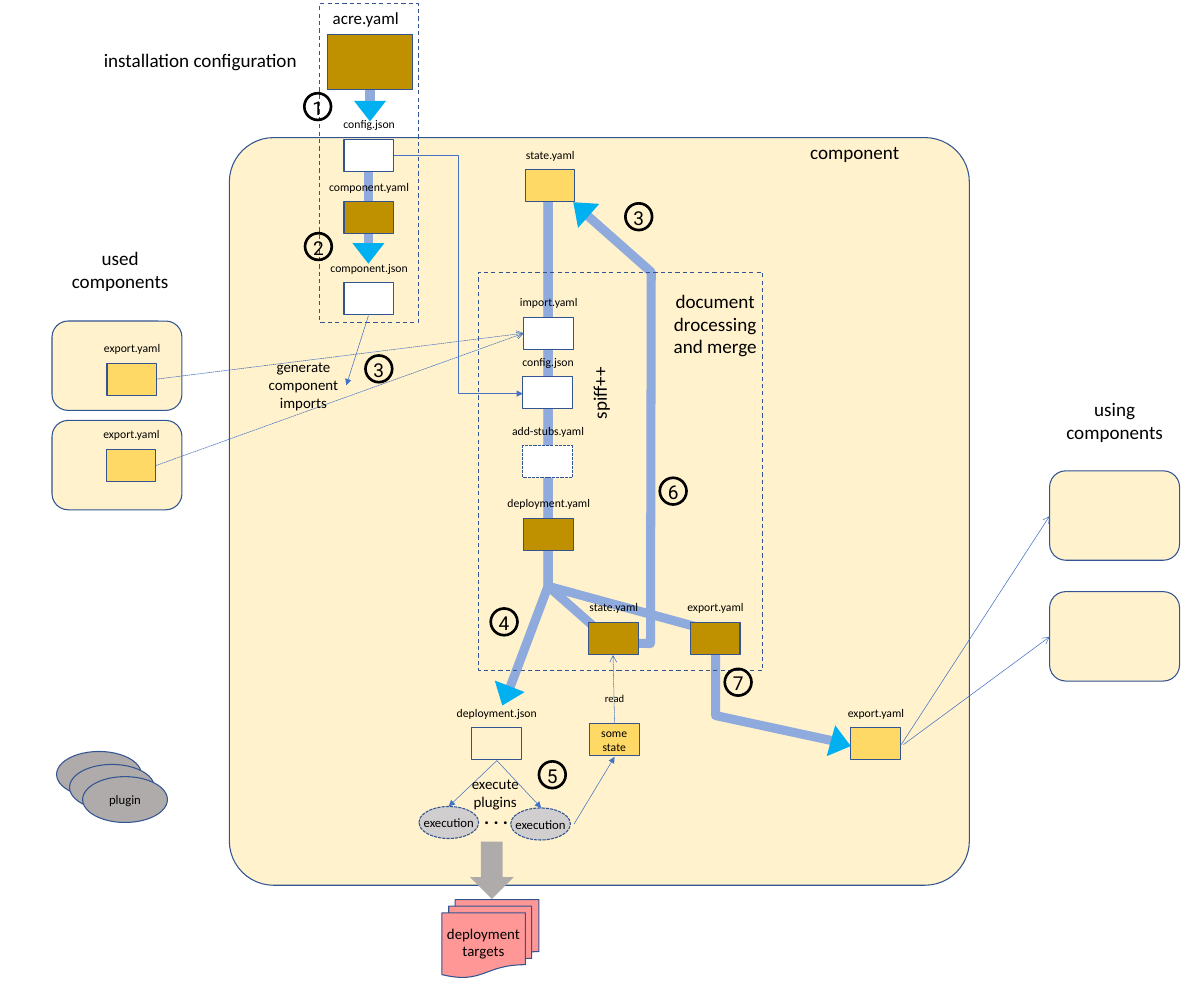
from lxml import etree
from pptx import Presentation
from pptx.dml.color import RGBColor
from pptx.enum.dml import MSO_LINE
from pptx.enum.shapes import MSO_CONNECTOR as LINK, MSO_SHAPE as SHAPE
from pptx.enum.text import MSO_ANCHOR, PP_ALIGN
from pptx.oxml.ns import qn
from pptx.util import Pt

CREAM, GOLD, YELLOW, WHITE = "FFF2CC", "BF9000", "FFD966", "FFFFFF"
GREY, LIGHT_GREY, PINK, CYAN = "AFABAB", "D0CECE", "FF9797", "00B0F0"
OUTLINE, FLOW, THIN, BLACK = "325491", "8FAADC", "4472C4", "000000"
DASH, DOT = MSO_LINE.DASH, MSO_LINE.SQUARE_DOT
FILE_W, FILE_H = 46.8, 30.2


def color(hex_string):
    return RGBColor.from_string(hex_string)


class Diagram:
    font = "Calibri"

    def __init__(self, slide):
        self.shapes = slide.shapes

    def paint(self, shape, fill=None, line=OUTLINE, weight=1, dash=None):
        shape.shadow.inherit = False
        if fill:
            shape.fill.solid()
            shape.fill.fore_color.rgb = color(fill)
        else:
            shape.fill.background()
        if line:
            shape.line.color.rgb = color(line)
            shape.line.width = Pt(weight)
            if dash:
                shape.line.dash_style = dash
        else:
            shape.line.fill.background()

    def caption(self, shape, text, size, font=None, bold=False):
        frame = shape.text_frame
        frame.word_wrap = False
        frame.vertical_anchor = MSO_ANCHOR.MIDDLE
        frame.text = text
        for paragraph in frame.paragraphs:
            paragraph.alignment = PP_ALIGN.CENTER
            paragraph.font.name = font or self.font
            paragraph.font.size = Pt(size)
            paragraph.font.bold = bold
            paragraph.font.color.rgb = color(BLACK)

    def block(self, kind, x, y, w, h, fill=None, adjust=(), turn=0, **outline):
        shape = self.shapes.add_shape(kind, Pt(x), Pt(y), Pt(w), Pt(h))
        for index, value in enumerate(adjust):
            shape.adjustments[index] = value
        shape.rotation = turn
        self.paint(shape, fill, **outline)
        return shape

    def note(self, text, x, y, w, size=18, turn=0, bold=False):
        height = 1.2 * size * (text.count("\n") + 1) + 7.2
        box = self.shapes.add_textbox(Pt(x), Pt(y), Pt(w), Pt(height))
        box.rotation = turn
        self.caption(box, text, size, bold=bold)

    def file_box(self, name, x, y, fill=None, dash=None):
        self.block(SHAPE.RECTANGLE, x, y, FILE_W, FILE_H, fill, dash=dash)
        label = self.shapes.add_textbox(Pt(x - 27.4), Pt(y - 25.2), Pt(102.2), Pt(25.2))
        self.caption(label, name, 11)
        label.text_frame.margin_top = 0

    def step(self, number, x, y):
        circle = self.block(SHAPE.OVAL, x, y, 25.2, 25.2, line=BLACK, weight=2.5)
        self.caption(circle, number, 18, font="Roboto")
        frame = circle.text_frame
        frame.margin_left = frame.margin_right = frame.margin_bottom = 0
        frame.margin_top = Pt(2)

    def flow(self, *points):
        start, *rest = [(Pt(x), Pt(y)) for x, y in points]
        builder = self.shapes.build_freeform(*start)
        builder.add_line_segments(rest, close=False)
        self.paint(builder.convert_to_shape(), line=FLOW, weight=8.5)

    def tip(self, x, y, turn=0):
        self.block(SHAPE.DOWN_ARROW, x, y, 30.2, 19.4, CYAN, (0, 1), turn, line=None)

    def link(self, start, end, head=None, dash=None, kind=LINK.STRAIGHT,
             line=THIN, weight=0.5):
        connector = self.shapes.add_connector(kind, *map(Pt, start + end))
        connector.line.color.rgb = color(line)
        connector.line.width = Pt(weight)
        if dash:
            connector.line.dash_style = dash
        properties = connector._element.spPr
        if head:
            etree.SubElement(properties.find(qn("a:ln")), qn("a:tailEnd"), type=head)
        etree.SubElement(properties, qn("a:effectLst"))


def main():
    deck = Presentation()
    deck.slide_width, deck.slide_height = Pt(1134), Pt(935.28)
    diagram = Diagram(deck.slides.add_slide(deck.slide_layouts[6]))

    # Components
    for x, y in ((49, 396), (49, 302.4), (988.6, 443.5), (988.6, 557.3)):
        diagram.block(SHAPE.ROUNDED_RECTANGLE, x, y, 122.4, 84.2, CREAM, (0.18,))
    diagram.block(SHAPE.ROUNDED_RECTANGLE, 216, 129.6, 697, 704.2, CREAM, (0.06,))

    # Processing flows
    top, fork = (516.2, 174.2), (516.2, 552.2)
    diagram.flow(top, fork, (674, 595.4), (674, 674), (790.5, 699.1))
    diagram.flow(top, fork, (576.7, 605.5), (612.7, 606.2), (613.4, 256.3), (550, 200.2))
    diagram.flow(top, fork, (478, 653.8))
    for x, start, end in ((348.5, 84.2, 95), (347, 161.3, 229)):
        diagram.link((x, start), (x, end), line=FLOW, weight=8.5)

    # Groups
    diagram.block(SHAPE.RECTANGLE, 450.7, 256.3, 267.8, 375.1, dash=DASH)
    diagram.block(SHAPE.RECTANGLE, 301, 3.6, 92.9, 300.2, dash=DASH)

    # Files
    diagram.block(SHAPE.RECTANGLE, 308.9, 32.4, 79.9, 51.8, GOLD)
    for name, x, y, fill in (
        ("config.json", 324, 131, WHITE),
        ("component.yaml", 324, 190.1, GOLD),
        ("component.json", 324, 266.4, WHITE),
        ("export.yaml", 100.8, 342, YELLOW),
        ("export.yaml", 100.1, 423.4, YELLOW),
        ("state.yaml", 494.6, 159.8, YELLOW),
        ("import.yaml", 493.2, 298.8, WHITE),
        ("config.json", 492.5, 355, WHITE),
        ("deployment.yaml", 493.2, 488.2, GOLD),
        ("state.yaml", 554.4, 586.1, GOLD),
        ("export.yaml", 650.2, 586.1, GOLD),
        ("deployment.json", 444.2, 685.4, None),
        ("export.yaml", 801.4, 685.4, YELLOW),
    ):
        diagram.file_box(name, x, y, fill)
    diagram.file_box("add-stubs.yaml", 492.5, 419.8, WHITE, dash=DOT)
    some_state = diagram.block(SHAPE.RECTANGLE, 555.1, 681.8, FILE_W, FILE_H, YELLOW)
    diagram.caption(some_state, "some\nstate", 11)

    # Plugins and executions
    for x, y in ((53.3, 707.8), (65.5, 720), (77.8, 731.5)):
        plugin = diagram.block(SHAPE.OVAL, x, y, 79.9, 43.2, GREY)
    diagram.caption(plugin, "plugin", 12)
    for x, y in ((394.6, 759.6), (481, 761)):
        execution = diagram.block(SHAPE.OVAL, x, y, 56.2, 30.2, LIGHT_GREY, dash=DOT)
        diagram.caption(execution, "execution", 12)

    # Deployment targets
    diagram.block(SHAPE.DOWN_ARROW, 442.8, 792.7, 41, 54, GREY, line=None)
    diagram.block(SHAPE.FLOWCHART_MULTIDOCUMENT, 416.2, 847.4, 91.4, 73.4, PINK)

    # Thin links
    for start, end, head, dash in (
        ((147.6, 357.1), (493.2, 313.9), "arrow", DOT),
        ((146.9, 438.5), (493.2, 313.9), "arrow", DOT),
        ((347, 297.4), (326.2, 362.9), "triangle", None),
        ((468, 716.4), (422.6, 759.6), "triangle", None),
        ((468, 716.4), (509.8, 761), "triangle", None),
        ((540.7, 776.2), (578.9, 712.8), "triangle", None),
        ((578.9, 681.8), (577.4, 617), "arrow", DOT),
        ((848.9, 701.3), (988.6, 486), "arrow", None),
        ((851, 701.3), (988.6, 599.8), "arrow", None),
    ):
        diagram.link(start, end, head, dash)
    diagram.link((370.8, 146.2), (492.5, 370.8), "triangle", kind=LINK.ELBOW)

    # Flow tips
    for x, y, turn in ((333.4, 95, 0), (331.9, 229, 0), (461.5, 645.8, 21),
                       (532.1, 187.2, 131.5), (776.9, 690.5, 285.3)):
        diagram.tip(x, y, turn)

    # Notes
    for text, x, y, width, size in (
        ("acre.yaml", 306, 3.6, 77, 16),
        ("installation configuration", 89.3, 41.8, 198.7, 18),
        ("component", 755.3, 128.2, 99.4, 18),
        ("used\ncomponents", 59.8, 228.2, 106.6, 18),
        ("using\ncomponents", 996.5, 370.8, 106.6, 18),
        ("document\ndrocessing\nand merge", 625.7, 268.6, 95.8, 18),
        ("generate\ncomponent\nimports", 245.5, 333.4, 80.6, 14),
        ("execute\nplugins", 437, 725.8, 59, 14),
        ("deployment\ntargets", 413.3, 866.9, 84.2, 14),
        ("read", 562.3, 648, 33.1, 10),
    ):
        diagram.note(text, x, y, width, size)
    diagram.note("spiff++", 532.1, 355.7, 64.8, turn=270)
    diagram.note(". . .", 448.6, 755.3, 37.4, bold=True)

    # Step numbers
    for number, x, y in (("1", 286.6, 87.8), ("2", 287.3, 219.6), ("3", 589, 191.5),
                         ("3", 344.2, 334.8), ("4", 462.2, 573.1), ("5", 507.6, 717.1),
                         ("6", 621.4, 450), ("7", 682.6, 630)):
        diagram.step(number, x, y)

    deck.save("out.pptx")


if __name__ == "__main__":
    main()
